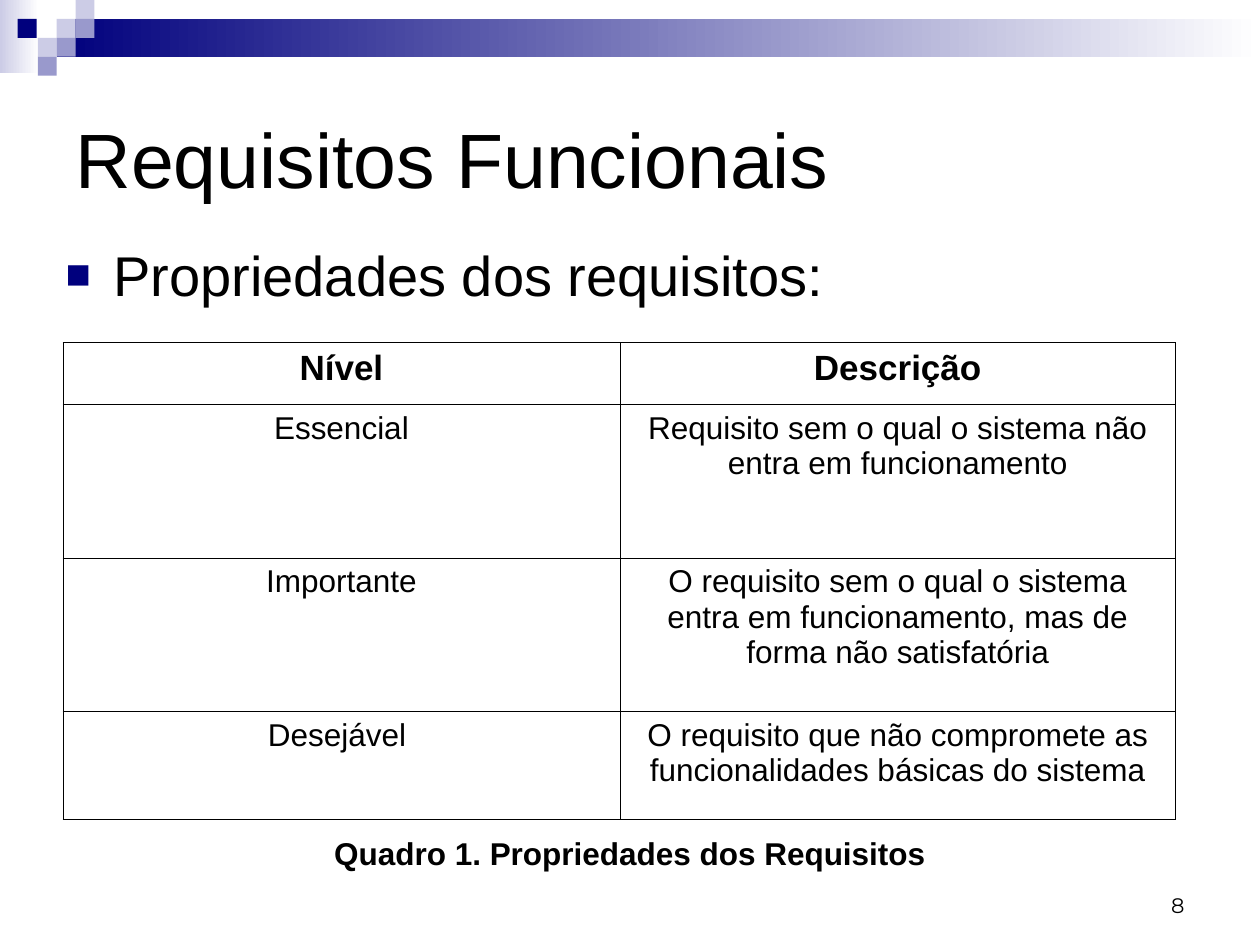
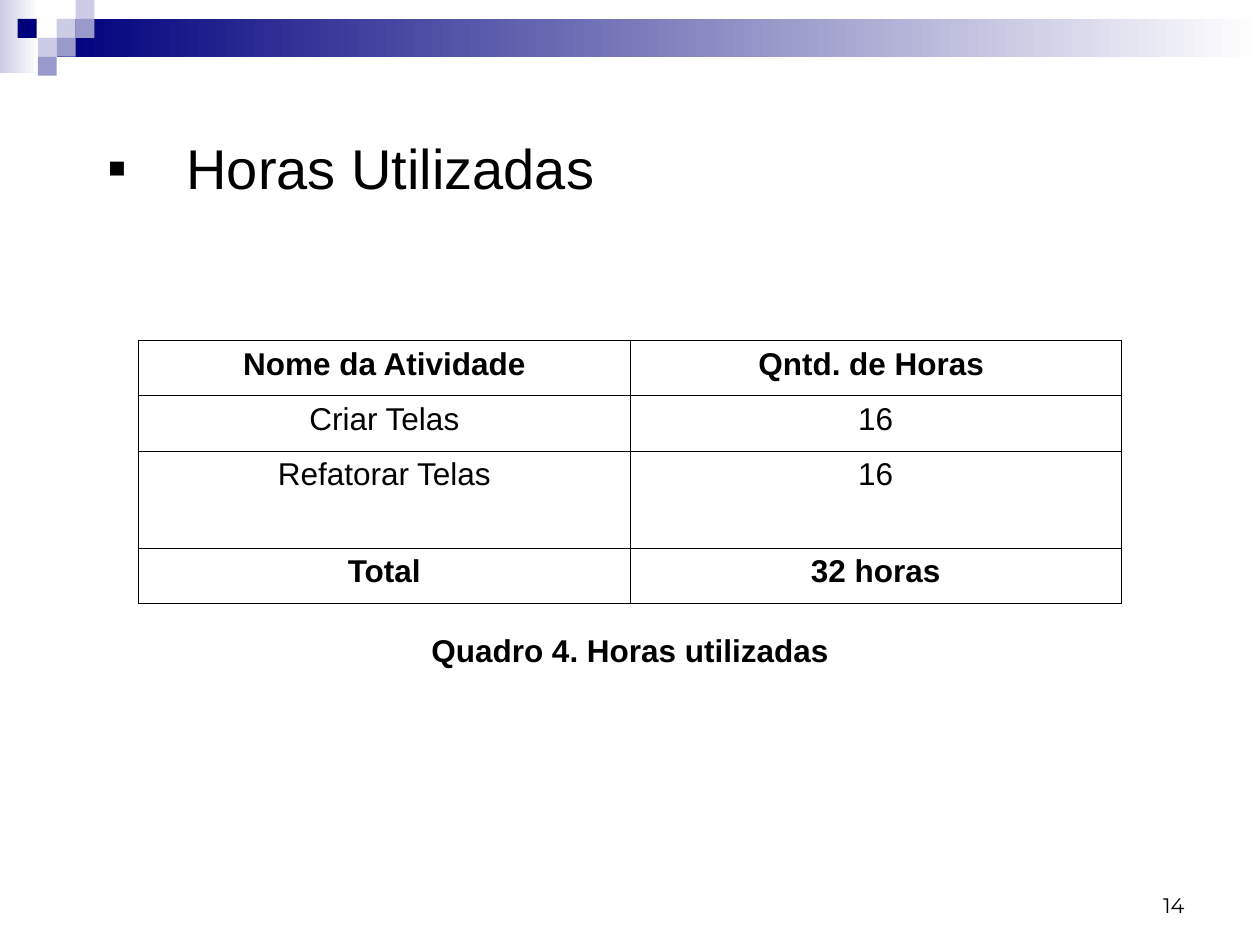
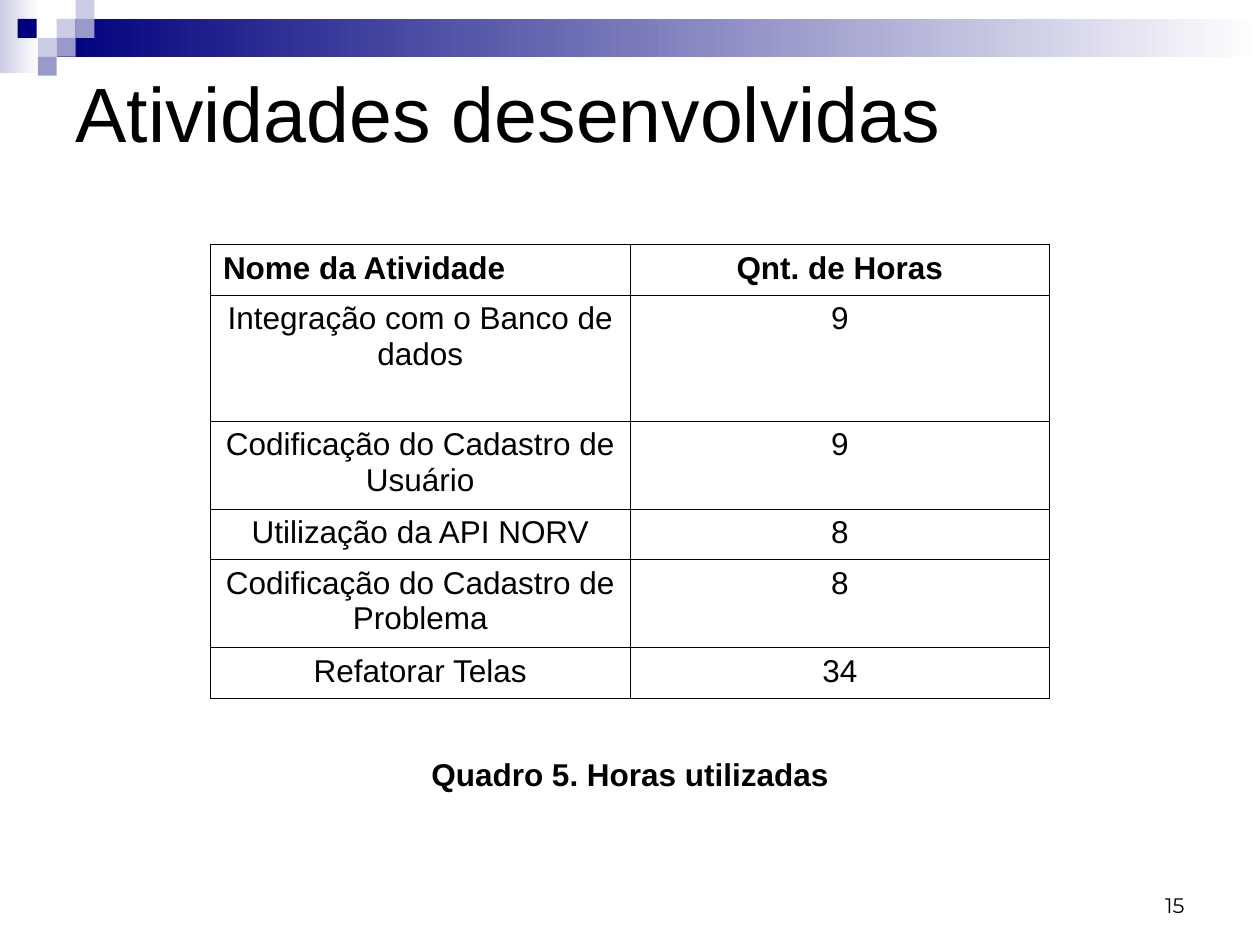
from lxml import etree
from pptx import Presentation
from pptx.dml.color import RGBColor
from pptx.enum import shapes, text
from pptx.oxml import ns
from pptx.util import Inches, Pt

NAVY = RGBColor(0x00, 0x00, 0x7D)
LILAC = RGBColor(0x99, 0x99, 0xCC)
PALE = RGBColor(0xCC, 0xCC, 0xE6)
WHITE = RGBColor(0xFF, 0xFF, 0xFF)
BLACK = RGBColor(0x00, 0x00, 0x00)
FONT = "Arial"
WIDE = 10
LEFT, MID, RIGHT = text.PP_ALIGN.LEFT, text.PP_ALIGN.CENTER, text.PP_ALIGN.RIGHT

# Content; "lift" raises a title by one line of its own text
SLIDES = [
    dict(
        title="Requisitos Funcionais", size=44, at=(0.5, 0.5, 9, 1.5),
        item="Propriedades dos requisitos:", number="8",
        table=dict(
            at=(0.5, 2.72), cols=(4.42, 4.41), rows=(0.49, 1.22, 1.22, 0.85),
            head=20, bold=(0,),
            cells=[
                ("Nível", "Descrição"),
                ("Essencial", "Requisito sem o qual o sistema não entra em funcionamento"),
                ("Importante", "O requisito sem o qual o sistema entra em funcionamento, "
                               "mas de forma não satisfatória"),
                ("Desejável ", "O requisito que não compromete as funcionalidades "
                               "básicas do sistema"),
            ]),
        note=("Quadro 1. Propriedades dos Requisitos", 6.57, 5)),
    dict(
        title="Horas Utilizadas", size=32, at=(0.75, 0.84, 9, 1.5), lift=True,
        mark=("▪", BLACK, 100, 0.63), number="14",
        table=dict(
            at=(1.1, 2.7), cols=(3.9, 3.9), rows=(0.44, 0.44, 0.77, 0.44),
            head=18, bold=(0, 3),
            cells=[
                ("Nome da Atividade", "Qntd. de Horas "),
                ("Criar Telas", "16"),
                ("Refatorar Telas", "16"),
                ("Total", "32 horas"),
            ]),
        note=("Quadro 4. Horas utilizadas", 4.96, 3.45)),
    dict(
        title="Atividades desenvolvidas", size=44, at=(0.5, 0.5, 9, 1.5), lift=True,
        number="15",
        table=dict(
            at=(1.67, 1.94), cols=(3.33, 3.33), rows=(0.4, 1, 0.7, 0.4, 0.7, 0.4),
            head=18, bold=(0,), first=LEFT,
            cells=[
                ("Nome da Atividade", "Qnt. de Horas"),
                ("Integração com o Banco de dados", "9"),
                ("Codificação do Cadastro de Usuário", "9"),
                ("Utilização da API NORV", "8"),
                ("Codificação do Cadastro de Problema", "8"),
                ("Refatorar Telas", "34"),
            ]),
        note=("Quadro 5. Horas utilizadas", 5.94, 3.45)),
]

# Header motif: fading bands, then small squares
BANDS = [((0, 0, 0.31, 0.58), PALE), ((0.45, 0.15, 9.55, 0.3), NAVY)]
SIDE = 0.15
SQUARES = [(0.45, 0.15, PALE), (0.6, 0, PALE), (0.6, 0.15, LILAC), (0.3, 0.3, PALE),
           (0.14, 0.15, NAVY), (0.45, 0.3, LILAC), (0.3, 0.45, LILAC)]


def box(at):
    return [Inches(v) for v in at]


def write(frame, words, size, align=LEFT, font=FONT, bold=False):
    frame.text = words
    para = frame.paragraphs[0]
    para.alignment = align
    face = para.runs[0].font
    for key, val in dict(name=font, size=Pt(size), bold=bold).items():
        setattr(face, key, val)
    face.color.rgb = BLACK
    return para


def place(shape, at):
    for key, val in zip(("left", "top", "width", "height"), box(at)):
        setattr(shape, key, val)
    shape.text_frame.auto_size = text.MSO_AUTO_SIZE.NONE


def sub(parent, tag, **attrs):
    return etree.SubElement(parent, ns.qn("a:" + tag), attrs)


def bullet(para, char, color, scale, indent):
    prop = para._p.get_or_add_pPr()
    prop.set("marL", str(Inches(indent)))
    prop.set("indent", str(-Inches(indent)))
    sub(sub(prop, "buClr"), "srgbClr", val=str(color))
    sub(prop, "buSzPct", val=str(scale * 1000))
    sub(prop, "buFont", typeface=FONT)
    sub(prop, "buChar", char=char)


def header(master, slide):
    """Draw the motif as a group and move it to the back of the master."""
    group = slide.shapes.add_group_shape()

    def rect(at):
        part = group.shapes.add_shape(shapes.MSO_SHAPE.RECTANGLE, *box(at))
        part.shadow.inherit = False
        part.line.fill.background()
        return part.fill

    for at, color in BANDS:
        fill = rect(at)
        fill.gradient()
        fill.gradient_angle = 0
        for stop, shade in zip(fill.gradient_stops, (color, WHITE)):
            stop.color.rgb = shade
    for left, top, color in SQUARES:
        fill = rect((left, top, SIDE, SIDE))
        fill.solid()
        fill.fore_color.rgb = color
    for num, node in enumerate(group.element.iter(ns.qn("p:cNvPr")), 100):
        node.set("id", str(num))
    master.shapes.element.insert(2, group.element)


def border(cell):
    prop = cell._tc.get_or_add_tcPr()
    for pos, edge in enumerate(("lnL", "lnR", "lnT", "lnB")):
        line = sub(prop, edge, w=str(Pt(0.45)))
        sub(sub(line, "solidFill"), "srgbClr", val=str(BLACK))
        prop.insert(pos, line)


def grid(slide, data):
    cols, rows = data["cols"], data["rows"]
    at = (*data["at"], sum(cols), sum(rows))
    table = slide.shapes.add_table(len(rows), len(cols), *box(at)).table
    table.first_row = table.horz_banding = False
    for col, width in zip(table.columns, cols):
        col.width = Inches(width)
    for r, (row, height) in enumerate(zip(table.rows, rows)):
        row.height = Inches(height)
        for c, cell in enumerate(row.cells):
            align = data.get("first", MID) if r == c == 0 else MID
            write(cell.text_frame, data["cells"][r][c], 18 if r else data["head"],
                  align, bold=r in data["bold"])
            cell.fill.solid()
            cell.fill.fore_color.rgb = WHITE
            border(cell)


def build(prs, data):
    kind = 1 if "item" in data else 5
    slide = prs.slides.add_slide(prs.slide_layouts[kind])

    # Title
    title = slide.shapes.title
    place(title, data["at"])
    frame = title.text_frame
    frame.vertical_anchor = text.MSO_ANCHOR.MIDDLE
    para = write(frame, data["title"], data["size"])
    if "mark" in data:
        bullet(para, *data["mark"])
    if data.get("lift"):
        frame.margin_bottom = Inches(0.05) + Pt(data["size"] * 1.2)

    # List
    if "item" in data:
        body = slide.placeholders[1]
        place(body, (0.42, 1.86, 9, 4.25))
        para = write(body.text_frame, data["item"], 32)
        para.space_before = Pt(8)
        bullet(para, "■", NAVY, 75, 0.38)

    grid(slide, data["table"])

    # Caption, centred on the slide
    words, top, width = data["note"]
    note = slide.shapes.add_textbox(*box(((WIDE - width) / 2, top, width, 0.4))).text_frame
    note.word_wrap = True
    note.auto_size = text.MSO_AUTO_SIZE.SHAPE_TO_FIT_TEXT
    write(note, words, 18, MID, bold=True)

    # Page number
    page = slide.shapes.add_textbox(*box((7.17, 6.83, 2.33, 0.5))).text_frame
    page.word_wrap = True
    page.vertical_anchor = text.MSO_ANCHOR.BOTTOM
    write(page, data["number"], 12, RIGHT, "Montserrat")
    return slide


def main():
    prs = Presentation()
    prs.slide_width, prs.slide_height = Inches(WIDE), Inches(7.5)
    made = [build(prs, data) for data in SLIDES]
    header(prs.slide_master, made[0])
    prs.save("out.pptx")


if __name__ == "__main__":
    main()
